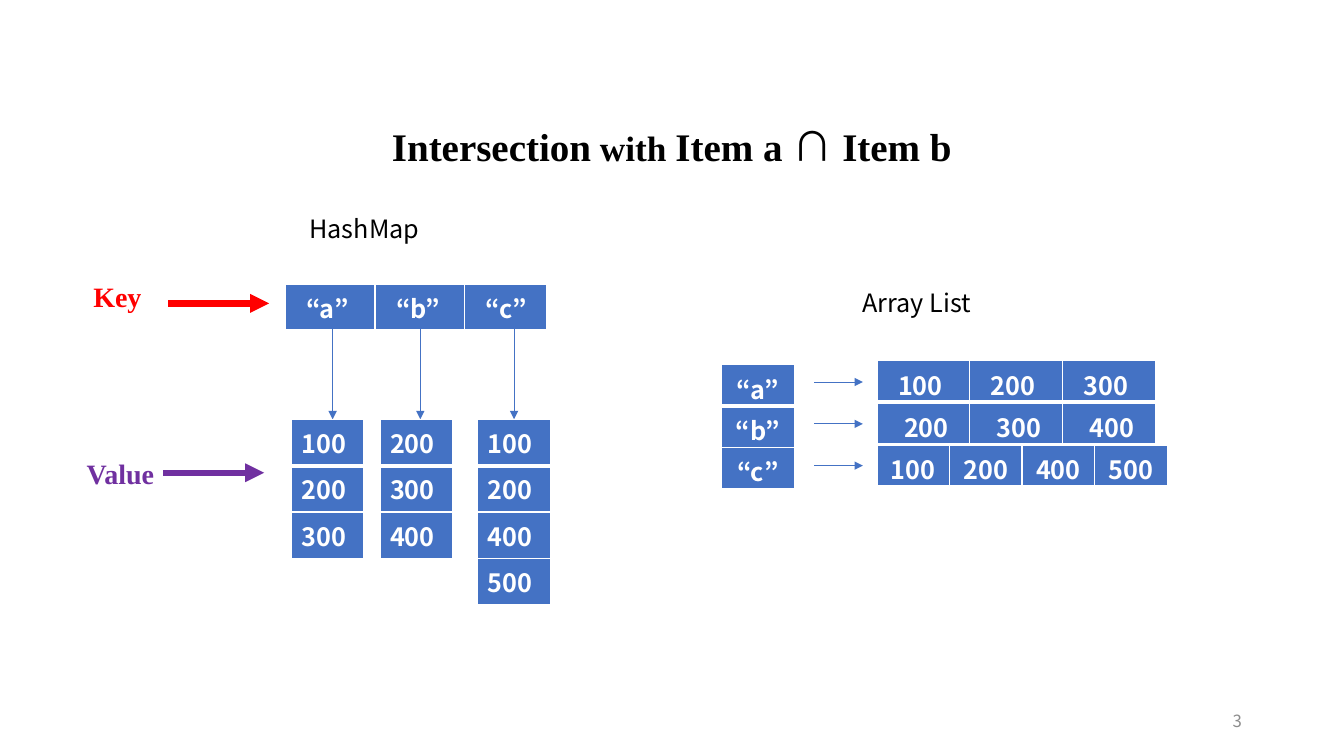
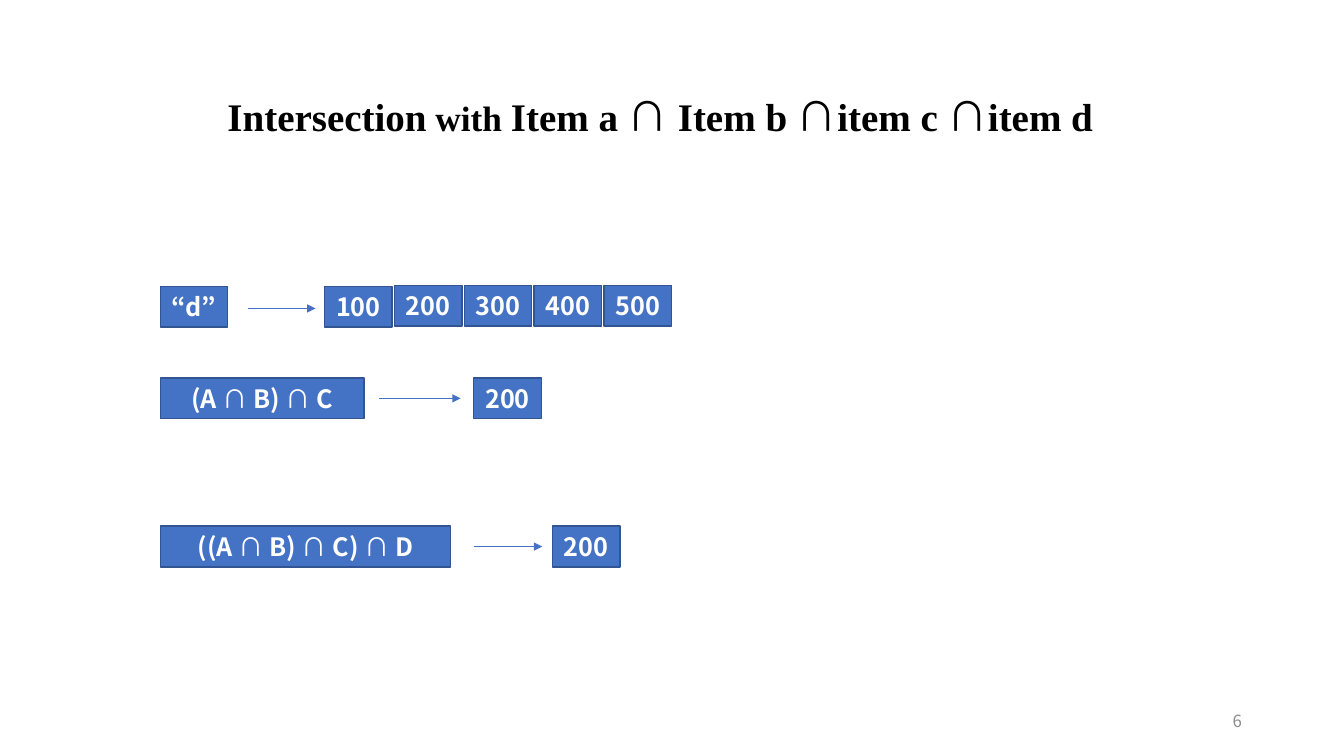
from dataclasses import dataclass
from itertools import groupby
from typing import Optional, Sequence

from lxml import etree
from pptx import Presentation
from pptx import slide as sl
from pptx import util as u
from pptx.dml.color import RGBColor
from pptx.enum import shapes, text
from pptx.oxml import ns
from pptx.shapes import shapetree as tree
from pptx.text import text as txt

GRID = u.Inches(0.1)  # one column or row of the grid
COLUMNS, ROWS = 133.33, 75
LEFT, CENTER, RIGHT = text.PP_ALIGN.LEFT, text.PP_ALIGN.CENTER, text.PP_ALIGN.RIGHT
MIDDLE, TOP = text.MSO_ANCHOR.MIDDLE, text.MSO_ANCHOR.TOP
SIGN = "∩"


@dataclass(frozen=True)
class Style:
    """Look of a run of text."""
    size: float
    font: str
    color: str
    bold: bool = False


@dataclass(frozen=True)
class Theme:
    """Colours, line widths and type styles of the deck."""
    sans: str = "Noto Sans CJK KR"
    serif: str = "Times New Roman"
    blue: str = "4472C4"
    outline: str = "325491"
    white: str = "FFFFFF"
    black: str = "000000"
    red: str = "FF0000"
    purple: str = "7030A0"
    thin: float = 0.5
    thick: float = 4.5
    rule: float = 1
    header_rule: float = 3

    title = Style(27.9, serif, black, True)
    title_small = Style(25.2, serif, black, True)
    title_sign = Style(28.8, sans, black)
    item = Style(18, sans, white, True)
    item_sign = Style(18, sans, white)
    caption = Style(18, sans, black)
    key = Style(20, serif, red, True)
    value = Style(20, serif, purple, True)
    number = Style(12, sans, "8C8C8C")


THEME = Theme()


@dataclass(frozen=True)
class Run:
    """A stretch of text in one style."""
    words: str
    style: Style


@dataclass(frozen=True)
class Area:
    """Left, top, width and height in grid units."""
    left: float
    top: float
    width: float
    height: float

    def lengths(self) -> list[int]:
        """Return the four lengths in EMU."""
        return [grid(n) for n in (self.left, self.top, self.width, self.height)]


@dataclass(frozen=True)
class Chain:
    """A hash map entry: its values, their left edge and its arrow's column."""
    left: float
    arrow: float
    values: Sequence[str]


@dataclass(frozen=True)
class ArrayRow:
    """An array list entry: its values and the layout of their cells."""
    values: Sequence[str]
    cell_width: float
    align: text.PP_ALIGN
    inset: float = 1


@dataclass(frozen=True)
class Step:
    """A box, an arrow and the box of its result."""
    row: float
    operand: str
    width: float
    arrow: tuple[float, float]
    result: float


def grid(count: float) -> int:
    """Turn grid units into EMU."""
    return u.Emu(round(count * GRID))


def rgb(color: str) -> RGBColor:
    """Turn a hex string into a colour."""
    return RGBColor.from_string(color)


def expression(words: str, plain: Style, sign: Style) -> list[Run]:
    """Split words into plain runs and runs of the intersection sign."""
    return [Run("".join(part), sign if is_sign else plain)
            for is_sign, part in groupby(words, lambda letter: letter == SIGN)]


def write(frame: txt.TextFrame, runs: Sequence[Run], align: text.PP_ALIGN,
          spacing: Optional[float] = None) -> None:
    """Fill the first paragraph of a frame run by run."""
    paragraph = frame.paragraphs[0]
    paragraph.alignment = align
    paragraph.line_spacing = spacing
    for part in runs:
        run = paragraph.add_run()
        run.text = part.words
        run.font.size = u.Pt(part.style.size)
        run.font.bold = part.style.bold
        run.font.color.rgb = rgb(part.style.color)
        run.font.name = part.style.font
        etree.SubElement(run.font._element, ns.qn("a:ea"), typeface=part.style.font)


def add_text(slide: sl.Slide, area: Area, runs: Sequence[Run],
             align: text.PP_ALIGN = CENTER, anchor: text.MSO_ANCHOR = TOP,
             spacing: Optional[float] = None) -> None:
    """Add a wrapping text box."""
    frame = slide.shapes.add_textbox(*area.lengths()).text_frame
    frame.word_wrap = True
    frame.vertical_anchor = anchor
    write(frame, runs, align, spacing)


def add_arrow(slide: sl.Slide, start: tuple[float, float], end: tuple[float, float],
              color: str = THEME.blue, width: float = THEME.thin) -> None:
    """Add a straight arrow between two grid points."""
    arrow = slide.shapes.add_connector(
        shapes.MSO_CONNECTOR.STRAIGHT, *(grid(n) for n in (*start, *end)))
    arrow.line.color.rgb = rgb(color)
    arrow.line.width = u.Pt(width)
    etree.SubElement(arrow.line._get_or_add_ln(), ns.qn("a:tailEnd"), type="triangle")
    etree.SubElement(arrow._element.spPr, ns.qn("a:effectLst"))


def add_box(parent: tree._BaseGroupShapes, area: Area, words: str) -> None:
    """Add a blue box with centred white text."""
    box = parent.add_shape(shapes.MSO_SHAPE.RECTANGLE, *area.lengths())
    box.shadow.inherit = False
    box.fill.solid()
    box.fill.fore_color.rgb = rgb(THEME.blue)
    box.line.color.rgb = rgb(THEME.outline)
    box.line.width = u.Pt(THEME.rule)
    frame = box.text_frame
    frame.word_wrap = True
    frame.margin_left = frame.margin_right = 0
    frame.vertical_anchor = MIDDLE
    write(frame, expression(words, THEME.item, THEME.item_sign), CENTER)


def add_border(cell_properties: etree._Element, side: str, width: float) -> None:
    """Give one side of a table cell a white rule."""
    line = etree.SubElement(cell_properties, ns.qn(f"a:ln{side}"), w=str(u.Pt(width)))
    fill = etree.SubElement(line, ns.qn("a:solidFill"))
    etree.SubElement(fill, ns.qn("a:srgbClr"), val=THEME.white)


def add_cells(slide: sl.Slide, left: float, top: float, widths: Sequence[float],
              row_height: float, values: Sequence[str], align: text.PP_ALIGN = LEFT,
              inset: float = 1, bottom: float = 0.5) -> None:
    """Add a table of values, filled row by row."""
    row_count = len(values) // len(widths)
    area = Area(left, top, sum(widths), row_height * row_count)
    table = slide.shapes.add_table(row_count, len(widths), *area.lengths()).table
    table.first_row = table.horz_banding = False
    for column, width in zip(table.columns, widths):
        column.width = grid(width)
    for index, (cell, value) in enumerate(zip(table.iter_cells(), values)):
        below = THEME.header_rule if index < len(widths) else THEME.rule
        above = THEME.header_rule if len(widths) <= index < 2 * len(widths) else THEME.rule
        for side, width in zip("LRTB", (THEME.rule, THEME.rule, above, below)):
            add_border(cell._tc.get_or_add_tcPr(), side, width)
        cell.fill.solid()
        cell.fill.fore_color.rgb = rgb(THEME.blue)
        cell.margin_left, cell.margin_bottom = grid(inset), grid(bottom)
        write(cell.text_frame, [Run(value, THEME.item)], align)


def add_slide(deck, title_area: Area, items: str, number: str) -> sl.Slide:
    """Add a blank slide with the shared title and page number."""
    slide = deck.slides.add_slide(deck.slide_layouts[6])
    heading = [Run("Intersection", THEME.title), Run(" with ", THEME.title_small),
               *expression(items, THEME.title, THEME.title_sign)]
    add_text(slide, title_area, heading, anchor=MIDDLE, spacing=0.9)
    add_text(slide, Area(94.2, 69.5, 30, 4), [Run(number, THEME.number)], RIGHT, MIDDLE)
    return slide


def draw_hash_map(slide: sl.Slide) -> None:
    """Draw the keys, each pointing down to its chain of values."""
    chains = (Chain(28.9, 33, ("100", "200", "300")),
              Chain(37.7, 41.7, ("200", "300", "400")),
              Chain(47.4, 51, ("100", "200", "400", "500")))
    add_text(slide, Area(18.8, 20.7, 34.7, 4), [Run("HashMap", THEME.caption)])
    add_cells(slide, 28.3, 28.2, (8.9, 8.9, 8.1), 4.6, ("“a”", "“b”", "“c”"), inset=2.1)
    for chain in chains:
        add_arrow(slide, (chain.arrow, 32.2), (chain.arrow, 41.6))
        add_cells(slide, chain.left, 41.6, (7.2,), 4.6, chain.values)
    add_text(slide, Area(6.1, 27.2, 11.1, 4.4), [Run("Key", THEME.key)])
    add_arrow(slide, (16.7, 30.1), (26.7, 30.1), THEME.red, THEME.thick)
    add_text(slide, Area(6.4, 44.8, 11.1, 4.4), [Run("Value", THEME.value)])
    add_arrow(slide, (16.2, 46.9), (26.2, 46.9), THEME.purple, THEME.thick)


def draw_array_list(slide: sl.Slide) -> None:
    """Draw the keys, each pointing right to its row of values."""
    rows = (ArrayRow(("100", "200", "300"), 9.2, LEFT, 2.1),
            ArrayRow(("200", "300", "400"), 9.2, CENTER, 1.6),
            ArrayRow(("100", "200", "400", "500"), 7.2, CENTER))
    add_text(slide, Area(73.6, 28, 34.7, 4), [Run("Array List", THEME.caption)])
    add_cells(slide, 71.6, 36.2, (7.2,), 4.1, ("“a”", "“b”", "“c”"), CENTER, bottom=0)
    for index, row in enumerate(rows):
        arrow_row = 37.9 + 4.15 * index
        add_arrow(slide, (80.8, arrow_row), (85.6, arrow_row))
        add_cells(slide, 87, 35.8 + 4.2 * index, [row.cell_width] * len(row.values), 4.1,
                  row.values, row.align, row.inset, bottom=0)


def draw_steps(slide: sl.Slide) -> None:
    """Draw item d and the two intersections with their results."""
    left, item_width, height = 15.9, 6.7, 4.05
    add_box(slide.shapes, Area(left, 28.4, item_width, height), "“d”")
    add_arrow(slide, (24.6, 30.6), (31.3, 30.6))
    array = slide.shapes.add_group_shape().shapes
    tops = (28.4, 28.3, 28.3, 28.3, 28.3)
    for index, top in enumerate(tops):
        area = Area(32.2 + 6.93 * index, top, item_width, height)
        add_box(array, area, str(100 * (index + 1)))
    for step in (Step(37.5, "(A ∩ B) ∩ C", 20.2, (37.6, 45.7), 47),
                 Step(52.2, "((A ∩ B) ∩ C) ∩ D", 28.8, (47, 53.8), 54.8)):
        middle = step.row + height / 2
        add_box(slide.shapes, Area(left, step.row, step.width, height), step.operand)
        add_arrow(slide, (step.arrow[0], middle), (step.arrow[1], middle))
        add_box(slide.shapes, Area(step.result, step.row, item_width, height), "200")


def main() -> None:
    """Build and save the deck."""
    deck = Presentation()
    deck.slide_width, deck.slide_height = grid(COLUMNS), grid(ROWS)
    two_items = add_slide(deck, Area(29.3, 12.5, 74.7, 4.4), "Item a ∩ Item b", "3")
    draw_hash_map(two_items)
    draw_array_list(two_items)
    four_items = add_slide(deck, Area(17.3, 9.5, 96.4, 4.4),
                           "Item a ∩ Item b ∩item c ∩item d", "6")
    draw_steps(four_items)
    deck.save("out.pptx")


main()
